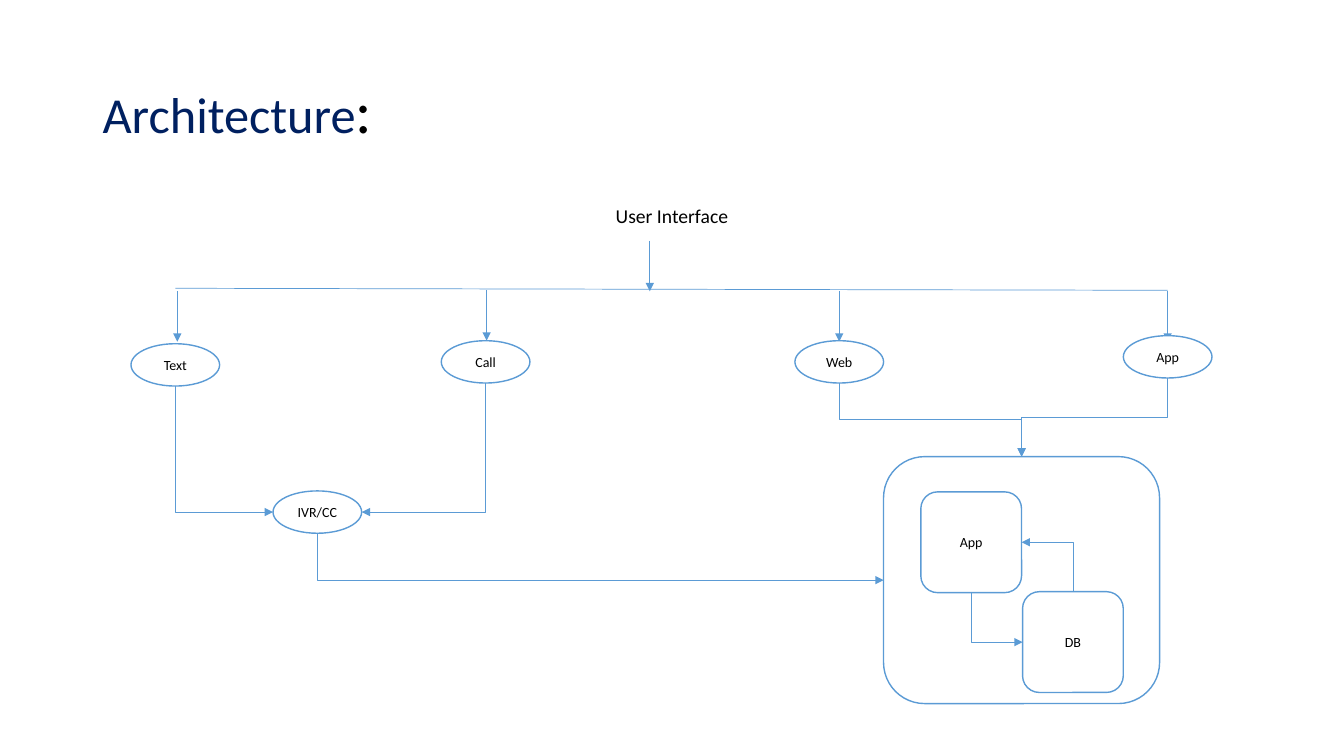
from lxml import etree
from pptx import Presentation
from pptx import util as u
from pptx.dml.color import RGBColor
from pptx.enum import shapes, text
from pptx.oxml import ns

NAVY = RGBColor(0x00, 0x20, 0x60)
BLACK = RGBColor(0x00, 0x00, 0x00)
WHITE = RGBColor(0xFF, 0xFF, 0xFF)
BLUE = RGBColor(0x5B, 0x9B, 0xD5)
TOP, LEFT, BOTTOM, RIGHT = range(4)
OVAL = shapes.MSO_SHAPE.OVAL
ROUNDED = shapes.MSO_SHAPE.ROUNDED_RECTANGLE


def set_all(target, values):
    for name, value in values.items():
        setattr(target, name, value)


class Diagram:
    font = "Calibri"
    outline = u.Pt(1)
    link_width = u.Pt(0.5)

    def __init__(self, slide):
        self.slide = slide

    def add_words(self, paragraph, words, size, color):
        run = paragraph.add_run()
        run.text = words
        set_all(run.font, {"name": self.font, "size": u.Pt(size)})
        run.font.color.rgb = color

    def text_box(self, box, runs, frame_format, paragraph_format):
        frame = self.slide.shapes.add_textbox(*map(u.Inches, box)).text_frame
        set_all(frame, {"word_wrap": True, **frame_format})
        paragraph = frame.paragraphs[0]
        set_all(paragraph, {"line_spacing": 0.9, **paragraph_format})
        for run in runs:
            self.add_words(paragraph, *run)

    def node(self, kind, box, label=""):
        node = self.slide.shapes.add_shape(kind, *map(u.Inches, box))
        node.shadow.inherit = False
        node.fill.solid()
        node.fill.fore_color.rgb = WHITE
        node.line.color.rgb = BLUE
        node.line.width = self.outline
        if label:
            frame = node.text_frame
            set_all(frame, {"word_wrap": True, "vertical_anchor": text.MSO_ANCHOR.MIDDLE})
            frame.paragraphs[0].alignment = text.PP_ALIGN.CENTER
            self.add_words(frame.paragraphs[0], label, 10, BLACK)
        return node

    def line(self, start, end, kind=shapes.MSO_CONNECTOR.STRAIGHT, arrow=True):
        link = self.slide.shapes.add_connector(kind, *map(u.Inches, (*start, *end)))
        link.line.color.rgb = BLUE
        link.line.width = self.link_width
        properties = link._element.spPr
        if arrow:
            etree.SubElement(properties.find(ns.qn("a:ln")), ns.qn("a:tailEnd"), type="triangle")
        etree.SubElement(properties, ns.qn("a:effectLst"))
        return link

    def elbow(self, source, source_side, target, target_side):
        """Join two nodes by a bent arrow that leaves the source vertically."""
        link = self.line((0, 0), (1, 1), shapes.MSO_CONNECTOR.ELBOW)
        link.begin_connect(source, source_side)
        link.end_connect(target, target_side)
        for node, side, tag in ((source, source_side, "a:stCxn"), (target, target_side, "a:endCxn")):
            if node.auto_shape_type == OVAL:  # an ellipse has eight sites, so sides are two apart
                link._element.find(".//" + ns.qn(tag)).set("idx", str(2 * side))

        x1, y1, x2, y2 = link.begin_x, link.begin_y, link.end_x, link.end_y
        across, down = abs(x2 - x1), abs(y2 - y1)
        set_all(link, {"left": (x1 + x2 - down) // 2, "top": (y1 + y2 - across) // 2,
                       "width": down, "height": across})
        frame = link._element.spPr.find(ns.qn("a:xfrm"))
        for flip in ("flipH", "flipV"):
            frame.attrib.pop(flip, None)
        if x2 < x1 and y2 > y1:
            frame.set("rot", str(90 * 60000))
        else:
            frame.set("rot", str(270 * 60000))
            frame.set("flipH" if y2 > y1 else "flipV", "1")
        if target_side in (LEFT, RIGHT):
            link._element.spPr.find(ns.qn("a:prstGeom")).set("prst", "bentConnector2")


def main():
    deck = Presentation()
    set_all(deck, {"slide_width": u.Inches(13.34), "slide_height": u.Inches(7.5)})
    diagram = Diagram(deck.slides.add_slide(deck.slide_layouts[6]))

    diagram.text_box((0.92, 0.4, 11.5, 1.45),
                     [("Architecture", 36, NAVY), (":", 44, BLACK)],
                     {"vertical_anchor": text.MSO_ANCHOR.MIDDLE}, {})
    diagram.text_box((0.92, 2, 11.5, 4.76), [("User Interface", 14, BLACK)], {},
                     {"alignment": text.PP_ALIGN.CENTER, "space_before": u.Pt(10)})

    diagram.line((1.74, 2.86), (11.59, 2.88), arrow=False)
    for x, y in ((1.76, 2.89), (4.83, 2.88), (11.59, 2.89), (6.45, 2.39), (8.33, 2.89)):
        diagram.line((x, y), (x, y + 0.5))

    sms, call, web, mobile, ivr = [
        diagram.node(OVAL, (x, y, 0.88, 0.42), label)
        for label, x, y in (("Text", 1.3, 3.41), ("Call", 4.38, 3.38), ("Web", 7.89, 3.38),
                            ("App", 11.15, 3.33), ("IVR/CC", 2.71, 4.87))]
    server = diagram.node(ROUNDED, (8.77, 4.53, 2.74, 2.45))
    app = diagram.node(ROUNDED, (9.14, 4.88, 1, 1), "App")
    database = diagram.node(ROUNDED, (10.15, 5.87, 1, 1), "DB")

    for route in ((sms, BOTTOM, ivr, LEFT), (call, BOTTOM, ivr, RIGHT),
                  (web, BOTTOM, server, TOP), (mobile, BOTTOM, server, TOP),
                  (ivr, BOTTOM, server, LEFT), (database, TOP, app, RIGHT),
                  (app, BOTTOM, database, LEFT)):
        diagram.elbow(*route)

    deck.save("out.pptx")


if __name__ == "__main__":
    main()
